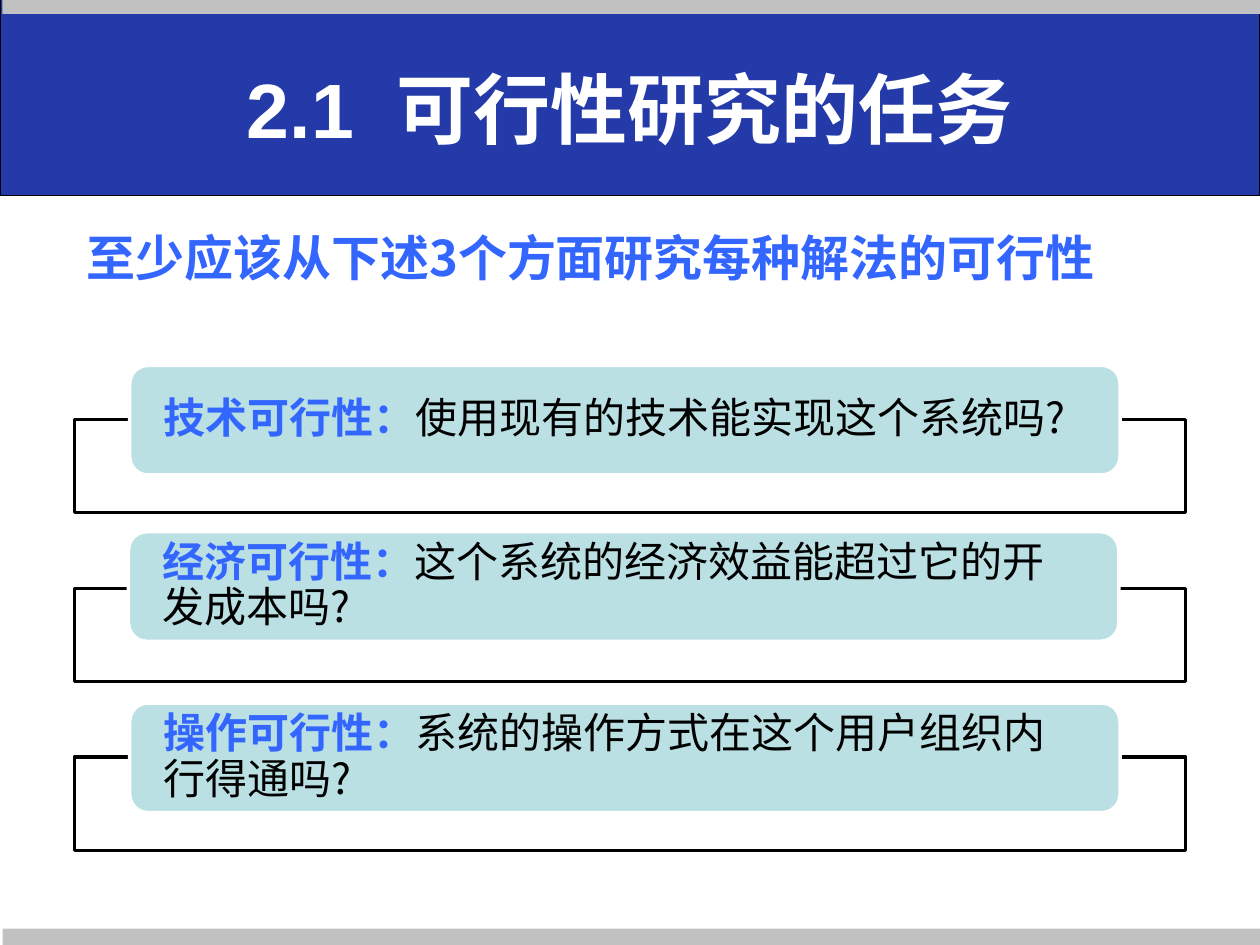
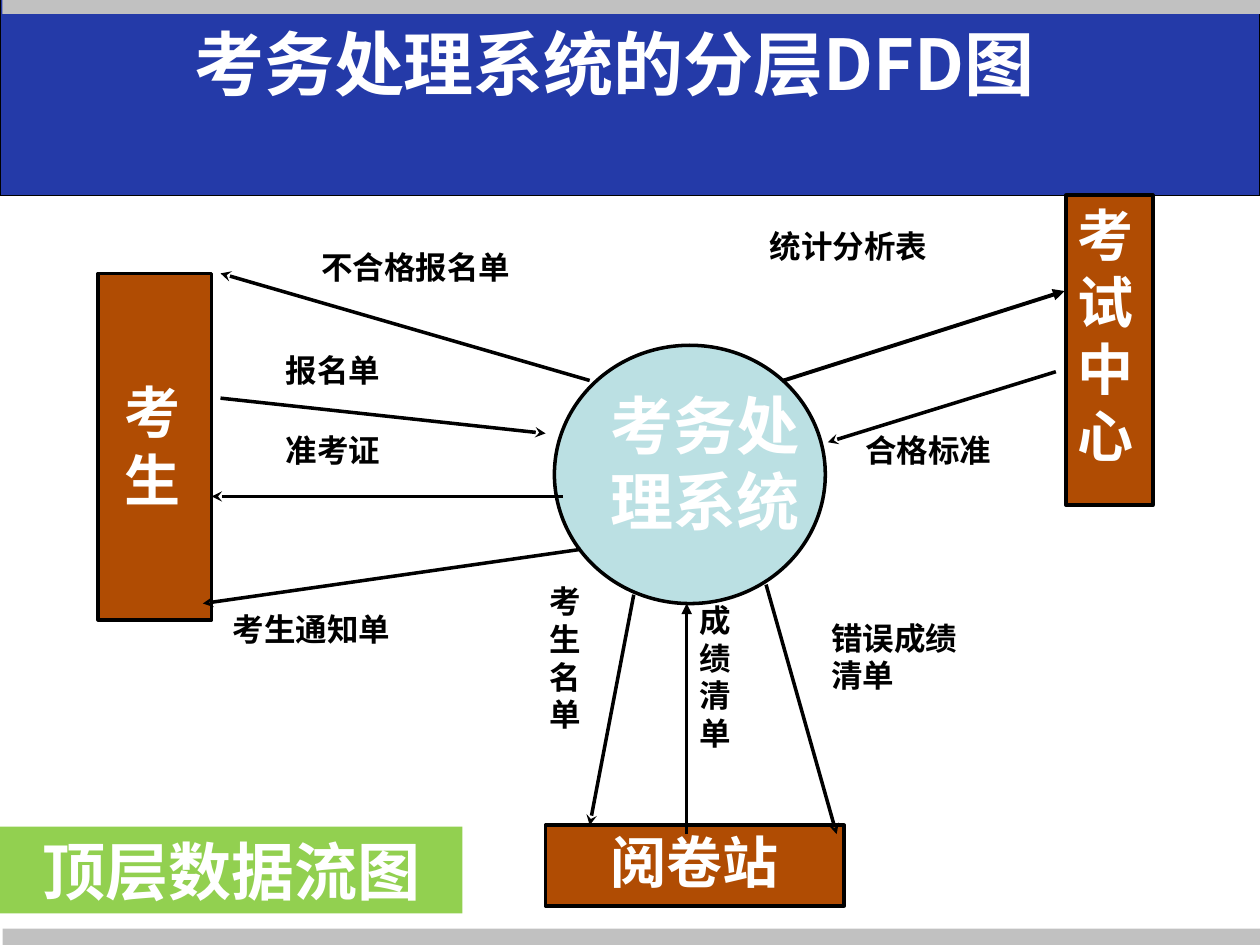
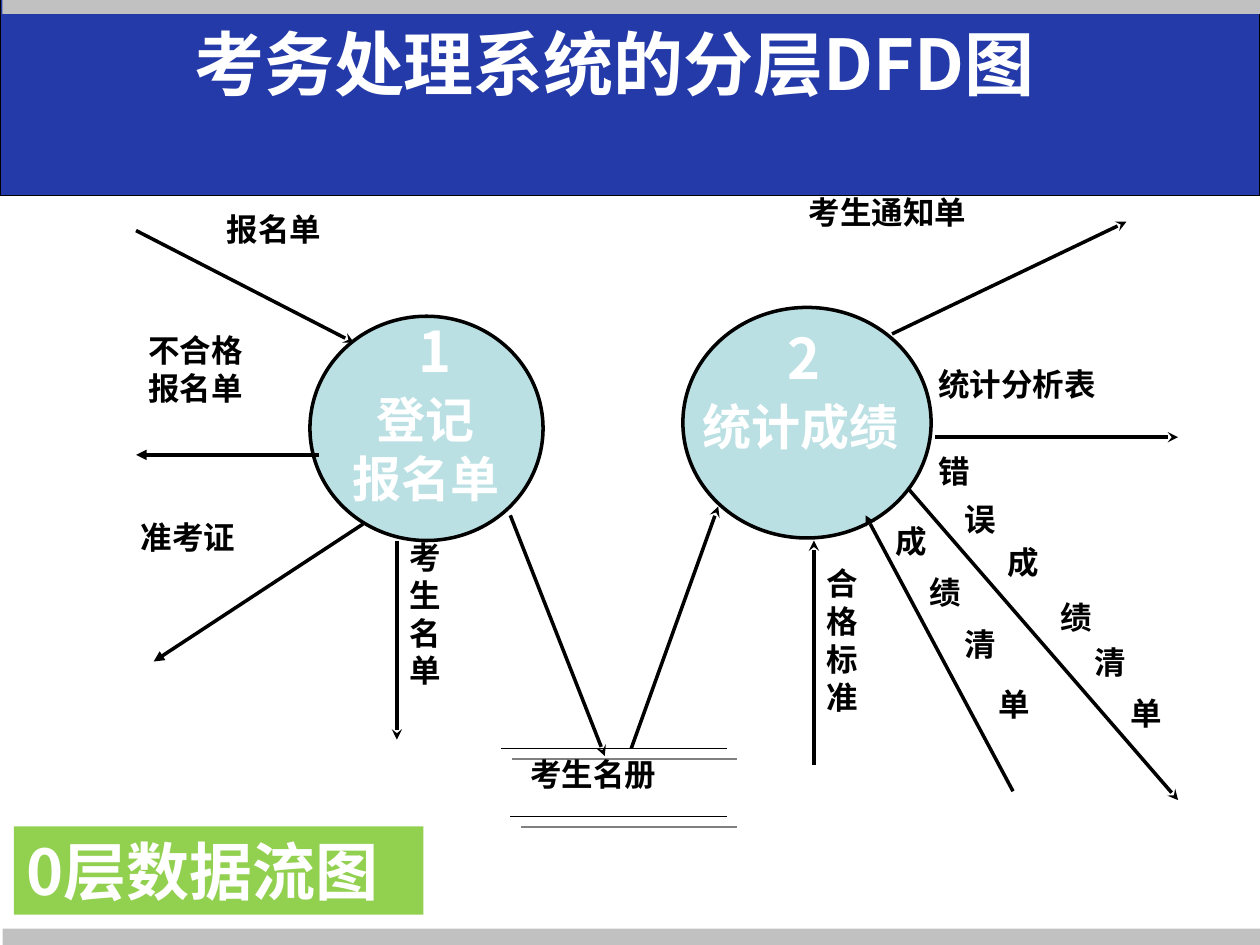
from lxml import etree
from pptx import Presentation
from pptx.dml.color import RGBColor
from pptx.enum import shapes, text
from pptx.oxml import ns
from pptx.util import Inches, Pt

INK = {"navy": "243AA8", "gray": "C1C1C1", "white": "FFFFFF", "black": "000000",
       "blue": "3366FF", "aqua": "BBE0E3", "rust": "B04C03", "green": "92D050",
       "shade": "808080"}
FONT = "Noto Sans CJK SC"
FORM = shapes.MSO_SHAPE
LEFT, MID = text.PP_ALIGN.LEFT, text.PP_ALIGN.CENTER
TOP, CORE = text.MSO_ANCHOR.TOP, text.MSO_ANCHOR.MIDDLE


def tint(name):
    return RGBColor.from_string(INK[name])


def node(base, tag, **attrs):
    return etree.SubElement(base, ns.qn(tag), attrs)


class Deck:
    def __init__(self):
        self.show = Presentation()
        self.show.slide_width, self.show.slide_height = Inches(10), Inches(7.5)
        self.page = None

    def start(self):
        """Add a slide with the title band and the gray edges."""
        self.page = self.show.slides.add_slide(self.show.slide_layouts[6])
        self.box(0, -0.02, 10, 1.57, "navy", "black", 0.75)
        self.box(0.02, 7.37, 9.98, 0.13, "gray")
        self.box(0.02, -0.01, 10, 0.12, "gray")

    def box(self, x, y, wide, high, fill, edge=None, thick=2, form=FORM.RECTANGLE):
        item = self.page.shapes.add_shape(
            form, Inches(x), Inches(y), Inches(wide), Inches(high))
        item.shadow.inherit = False
        item.fill.solid()
        item.fill.fore_color.rgb = tint(fill)
        if edge:
            item.line.color.rgb = tint(edge)
            item.line.width = Pt(thick)
        else:
            item.line.fill.background()
        return item

    def oval(self, x, y, wide, high):
        self.box(x, y, wide, high, "aqua", "black", form=FORM.OVAL)

    def words(self, item, lines, size, color="white", align=LEFT, anchor=TOP,
              side=0.1, edge=0.05, face=FONT, space=None):
        """Fill a shape; each line is a string or a list of (string, color, bold)."""
        frame = item.text_frame
        frame.word_wrap = True
        frame.vertical_anchor = anchor
        frame.margin_left = frame.margin_right = Inches(side)
        frame.margin_top = frame.margin_bottom = Inches(edge)
        for i, line in enumerate(lines):
            para = frame.add_paragraph() if i else frame.paragraphs[0]
            para.alignment = align
            if space:
                para.line_spacing = space
            for part, hue, bold in [(line, color, True)] if isinstance(line, str) else line:
                run = para.add_run()
                run.text = part
                run.font.size, run.font.bold, run.font.name = Pt(size), bold, face
                run.font.color.rgb = tint(hue)
                props = run._r.get_or_add_rPr()
                props.set("lang", "zh-CN")
                node(props, "a:ea", typeface=FONT)

    def label(self, x, y, wide, high, lines, size=18, color="black", **style):
        item = self.page.shapes.add_textbox(
            Inches(x), Inches(y), Inches(wide), Inches(high))
        self.words(item, lines, size, color, **style)

    def line(self, x1, y1, x2, y2, tip=None, thick=2, shade=False):
        item = self.page.shapes.add_connector(
            shapes.MSO_CONNECTOR.STRAIGHT, Inches(x1), Inches(y1), Inches(x2), Inches(y2))
        item.line.color.rgb = tint("black")
        item.line.width = Pt(thick)
        if tip:
            node(item.line._get_or_add_ln(), "a:tailEnd", type=tip)
        effect = node(item._element.spPr, "a:effectLst")
        if shade:
            cast = node(effect, "a:outerShdw", dist=str(Pt(8.5)), dir="2700000",
                        algn="ctr", rotWithShape="0")
            node(cast, "a:srgbClr", val=INK["shade"])

    def title(self):
        self.label(0, 0, 9.75, 1, ["考务处理系统的分层DFD图"], 40, "white",
                   align=MID, anchor=CORE)


def tasks(deck):
    deck.start()
    head = deck.box(0.59, 1.76, 8.63, 0.57, "white", "white")
    deck.words(head, ["至少应该从下述3个方面研究每种解法的可行性"], 28, "blue")
    rows = [(1.03, 2.9, "技术可行性：", "使用现有的技术能实现这个系统吗?"),
            (1.02, 4.22, "经济可行性：", "这个系统的经济效益能超过它的开发成本吗?"),
            (1.03, 5.58, "操作可行性：", "系统的操作方式在这个用户组织内行得通吗?")]
    for i, (x, y, name, ask) in enumerate(rows):
        deck.box(0.59, 3.33 + 1.34 * i, 8.82, 0.74, "white", "black")
        deck.box(x, y, 7.86, 0.87, "aqua", "white", form=FORM.ROUNDED_RECTANGLE)
        deck.label(x + 0.04, y + 0.04, 7.77, 0.79,
                   [[(name, "blue", True), (ask, "black", False)]], 24,
                   anchor=CORE, side=0.23, edge=0, space=0.9)
    # The wide gap after the number is letter spacing on one space.
    deck.label(0.5, 0.23, 9, 1.25,
               [[(part, "white", True) for part in ("2.1", " ", "可行性研究的任务")]],
               44, align=MID, anchor=CORE, face="Arial")
    gap = deck.page.shapes[-1].text_frame.paragraphs[0].runs[1]
    gap._r.get_or_add_rPr().set("spc", "1200")


def top(deck):
    deck.start()
    for spot in [(8.46, 1.55, 0.69, 2.46), (0.78, 2.17, 0.9, 2.75),
                 (4.33, 6.55, 2.37, 0.64)]:
        deck.box(*spot, "rust", "black")
    deck.oval(4.4, 2.74, 2.15, 2.05)
    deck.label(0.89, 2.95, 0.78, 1, "考生", 32, "white")
    deck.label(8.45, 1.54, 0.77, 1.91, "考试中心", 32, "white")
    deck.label(4.75, 6.52, 1.75, 0.54, ["阅卷站"], 32, "white")
    deck.label(4.47, 3.02, 2.25, 1.31, ["考务处", "理系统"], 36, "white", align=MID)

    for ends in [(4.68, 3.02, 1.75, 2.17), (1.75, 3.16, 4.33, 3.44),
                 (4.47, 3.94, 1.68, 3.94), (5.03, 4.72, 4.68, 6.55),
                 (4.61, 4.36, 1.61, 4.79), (8.38, 2.95, 6.57, 3.51),
                 (6.08, 4.64, 6.64, 6.62)]:
        deck.line(*ends, "stealth")
    deck.line(5.45, 6.62, 5.45, 4.79, "triangle")
    deck.line(6.22, 3.02, 8.45, 2.31, "triangle", 2.25)

    for x, y, wide, name in [(2.45, 1.92, 2.58, "不合格报名单"), (2.17, 2.74, 1.89, "报名单"),
                             (2.17, 3.37, 1.68, "准考证"), (1.75, 4.79, 2.3, "考生通知单"),
                             (6.77, 3.37, 1.96, "合格标准"), (6.01, 1.75, 2.16, "统计分析表")]:
        deck.label(x, y, wide, 0.43, [name])
    deck.label(5.45, 4.72, 0.63, 1.46, "成绩清单")
    deck.label(4.26, 4.57, 0.63, 1.46, ["考生名", "单"])
    deck.label(6.5, 4.86, 1.26, 1.11, ["错误成绩", "清单"])

    sign = deck.box(0, 6.56, 3.67, 0.69, "green")
    deck.words(sign, ["顶层数据流图"], 36, align=MID, anchor=CORE, face="Arial")
    deck.title()


def level(deck):
    deck.start()
    sign = deck.box(0.11, 6.56, 3.25, 0.7, "green")
    deck.words(sign, ["0层数据流图"], 36)
    deck.line(2.88, 4.16, 1.22, 5.25, "triangle")
    deck.oval(2.46, 2.51, 1.85, 1.78)
    deck.oval(5.42, 2.44, 1.97, 1.83)
    deck.label(2.45, 3.04, 1.86, 1.04, ["登记", "报名单"], 28, "white", align=MID)
    deck.label(5.48, 3.1, 1.87, 0.57, ["统计成绩"], 28, "white")
    deck.label(3.22, 2.46, 0.35, 0.53, ["1"], 32, "white")
    deck.label(6.15, 2.52, 0.35, 0.53, ["2"], 32, "white")

    for ends in [(1.08, 1.83, 2.81, 2.72), (4.05, 4.09, 4.8, 6), (5.01, 5.94, 5.7, 4.02),
                 (3.15, 4.29, 3.15, 5.87), (7.08, 2.65, 8.94, 1.76),
                 (7.42, 3.47, 9.35, 3.47), (8.04, 6.28, 6.87, 4.09),
                 (6.46, 6.07, 6.46, 4.29), (7.21, 3.88, 9.35, 6.35)]:
        deck.line(*ends, "stealth")
    deck.line(2.53, 3.61, 1.08, 3.61, "triangle")
    for x, y in [(3.98, 5.94), (4.05, 6.48)]:
        deck.line(x, y, 5.77, y, thick=1, shade=True)

    for x, y, wide, name in [(1.7, 1.62, 1.79, "报名单"), (1.02, 4.06, 1.45, "准考证"),
                             (4.11, 5.94, 1.29, "考生名册"), (6.32, 1.48, 2.48, "考生通知单"),
                             (7.35, 2.85, 2.34, "统计分析表")]:
        deck.label(x, y, wide, 0.42, [name])
    deck.label(1.08, 2.58, 1.72, 0.75, ["不合格", "报名单"])
    deck.label(3.15, 4.22, 0.62, 1.41, ["考生名", "单"])
    deck.label(6.46, 4.43, 0.62, 1.41, "合格标准")

    slants = {"成绩清单": [(7.01, 4.09), (7.28, 4.5), (7.56, 4.91), (7.83, 5.39)],
              "错误成绩清单": [(7.35, 3.54), (7.56, 3.92), (7.9, 4.26),
                         (8.32, 4.7), (8.59, 5.05), (8.87, 5.46)]}
    for name, spots in slants.items():
        for sign, (x, y) in zip(name, spots):
            deck.label(x, y, 0.69, 0.42, [sign])
    deck.title()


def main():
    deck = Deck()
    for build in (tasks, top, level):
        build(deck)
    deck.show.save("out.pptx")


if __name__ == "__main__":
    main()
